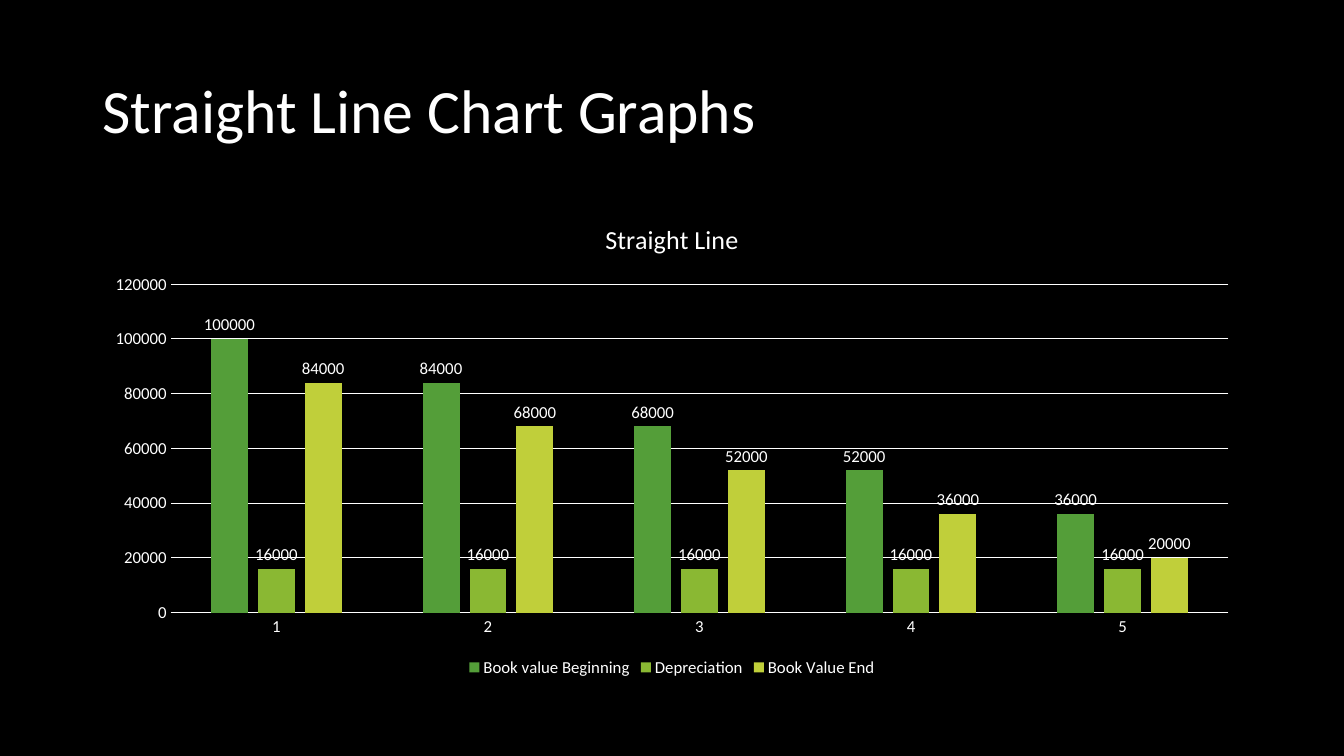
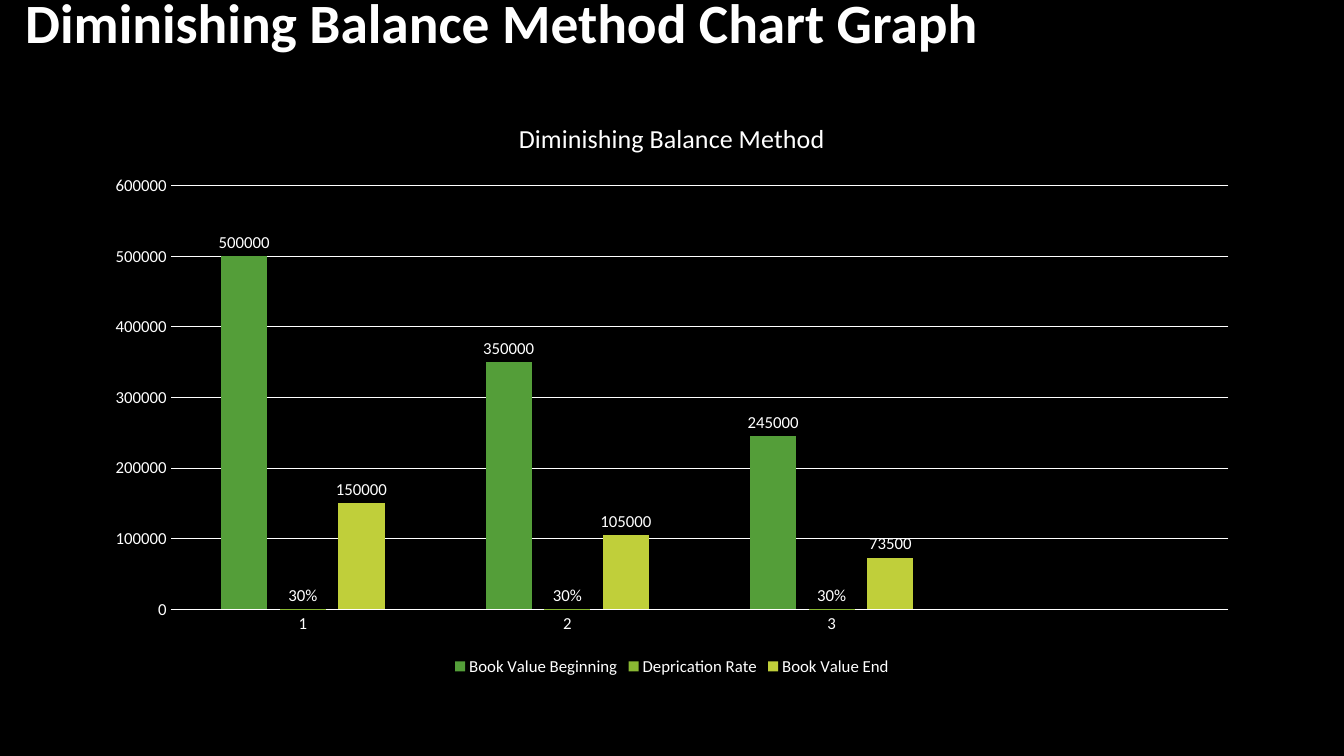
from pptx import Presentation
from pptx.chart.data import CategoryChartData
from pptx.dml.color import RGBColor
from pptx.enum import chart as kinds, text
from pptx.util import Pt

COLORS = {"back": "000000", "text": "FFFFFF", "begin": "549E39", "rate": "8AB833", "end": "C0CF3A"}
BARS = ("begin", "rate", "end")
FACE = "Calibri"
LEFT, WIDTH = 66, 828


def color(name):
    return RGBColor.from_string(COLORS[name])


def style(font, size, bold=False):
    font.name = FACE
    font.size = Pt(size)
    font.bold = bold
    font.color.rgb = color("text")


def rule(line):
    line.color.rgb = color("text")
    line.width = Pt(0.75)


def place(shape, box):
    shape.left, shape.top, shape.width, shape.height = map(Pt, box)


def add_title(slide, words, box, size, bold=False, foot=3.6):
    title = slide.shapes.title
    place(title, box)
    frame = title.text_frame
    frame.auto_size = text.MSO_AUTO_SIZE.NONE
    frame.word_wrap = True
    frame.vertical_anchor = text.MSO_ANCHOR.MIDDLE
    frame.margin_bottom = Pt(foot)
    para = frame.paragraphs[0]
    para.alignment = text.PP_ALIGN.LEFT
    para.line_spacing = 0.9
    run = para.add_run()
    run.text = words
    style(run.font, size, bold)


def style_axes(chart, top, step):
    cats, vals = chart.category_axis, chart.value_axis
    for axis in (cats, vals):
        axis.major_tick_mark = kinds.XL_TICK_MARK.NONE
        axis.minor_tick_mark = kinds.XL_TICK_MARK.NONE
        style(axis.tick_labels.font, 12)
    rule(cats.format.line)
    vals.format.line.fill.background()
    vals.has_major_gridlines = True
    rule(vals.major_gridlines.format.line)
    vals.minimum_scale, vals.maximum_scale, vals.major_unit = 0, top, step


def style_bars(plot, formats):
    plot.gap_width, plot.overlap = 219, -27
    plot.vary_by_categories = False
    for bars, name, form in zip(plot.series, BARS, formats):
        bars.format.fill.solid()
        bars.format.fill.fore_color.rgb = color(name)
        labels = bars.data_labels
        labels.show_value = True
        labels.position = kinds.XL_LABEL_POSITION.OUTSIDE_END
        labels.number_format = form
        labels.number_format_is_linked = False
        style(labels.font, 12)


def add_bars(slide, heading, top, height, cats, series, limit, step, formats=("0",) * 3):
    data = CategoryChartData()
    data.categories = cats
    for name, values in series:
        data.add_series(name, values)
    box = map(Pt, (LEFT, top, WIDTH, height))
    chart = slide.shapes.add_chart(kinds.XL_CHART_TYPE.COLUMN_CLUSTERED, *box, data).chart
    style(chart.font, 10)
    chart.has_title = True
    run = chart.chart_title.text_frame.paragraphs[0].add_run()
    run.text = heading
    style(run.font, 18.6)
    chart.chart_title.include_in_layout = False
    chart.has_legend = True
    chart.legend.position = kinds.XL_LEGEND_POSITION.BOTTOM
    chart.legend.include_in_layout = False
    style(chart.legend.font, 12)
    style_axes(chart, limit, step)
    style_bars(chart.plots[0], formats)


def main():
    deck = Presentation()
    deck.slide_width, deck.slide_height = Pt(960), Pt(540)
    fill = deck.slide_master.background.fill
    fill.solid()
    fill.fore_color.rgb = color("back")
    layout = deck.slide_layouts.get_by_name("Title Only")

    slide = deck.slides.add_slide(layout)
    add_title(slide, "Straight Line Chart Graphs", (LEFT, 28.8, WIDTH, 104.4), 44)
    add_bars(slide, "Straight Line", 144, 342.7, ["1", "2", "3", "4", "5"], [
        ("Book value Beginning", [100000, 84000, 68000, 52000, 36000]),
        ("Depreciation", [16000] * 5),
        ("Book Value End", [84000, 68000, 52000, 36000, 20000]),
    ], 120000, 20000)

    slide = deck.slides.add_slide(layout)
    add_title(slide, "Diminishing Balance Method Chart Graph", (10.8, 0, 949, 80), 39.6, True, 47.6)
    add_bars(slide, "Diminishing Balance Method", 70.6, 415.4, ["1", "2", "3", ""], [
        ("Book Value Beginning", [500000, 350000, 245000, None]),
        ("Deprication Rate", [0.3, 0.3, 0.3, None]),
        ("Book Value End", [150000, 105000, 73500, None]),
    ], 600000, 100000, ("0", "0%", "0"))

    deck.save("out.pptx")


if __name__ == "__main__":
    main()
